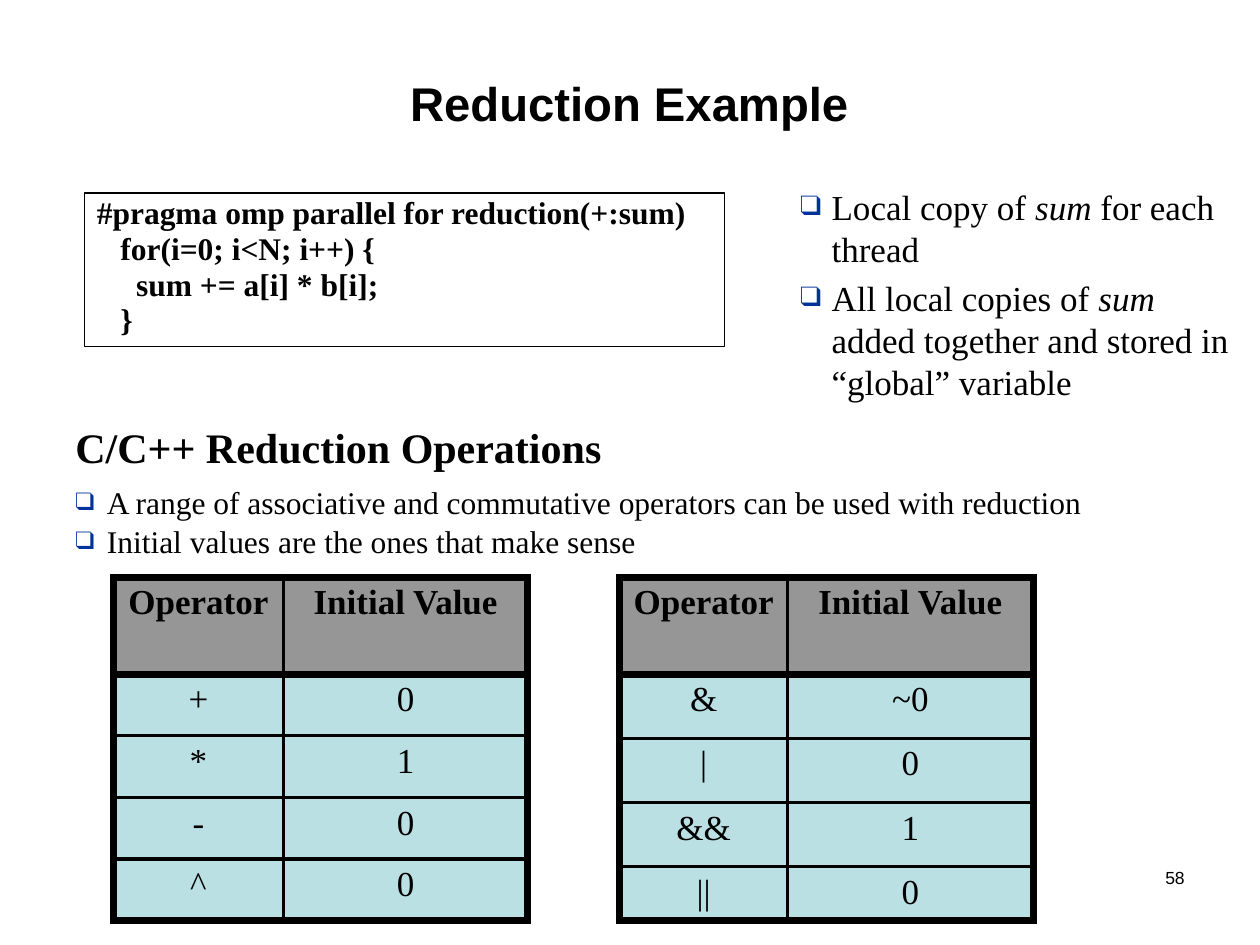
from lxml.etree import SubElement
from pptx import Presentation
from pptx.dml.color import RGBColor
from pptx.enum.shapes import MSO_SHAPE as Shape
from pptx.enum.text import MSO_ANCHOR as Anchor, MSO_AUTO_SIZE as AutoSize, PP_ALIGN as Align
from pptx.oxml.ns import qn
from pptx.util import Inches, Pt

WIDTH, HEIGHT = 10, 7.5
SANS, SERIF = "Arial", "Times New Roman"
COLORS = {"ink": "000000", "paper": "FFFFFF", "bullet": "003399",
          "header": "969696", "cell": "BBE0E3"}
THICK, THIN = 4.5, 2.25
TABLE_TOP = 4.58

CODE = ["#pragma omp parallel for reduction(+:sum)",
        "   for(i=0; i<N; i++) {",
        "     sum += a[i] * b[i];",
        "   }"]
# Every second span of a note is italic
NOTES = [["Local copy of ", "sum", " for each thread"],
         ["All local copies of ", "sum",
          " added together and stored in “global” variable"]]
RULES = [["A range of associative and commutative operators can be used with reduction"],
         ["Initial values are the ones that make sense"]]
HEADER = ("Operator", "Initial Value")
ARITHMETIC = [HEADER, ("+", "0"), ("*", "1"), ("-", "0"), ("^", "0")]
LOGICAL = [HEADER, ("&", "~0"), ("|", "0"), ("&&", "1"), ("||", "0")]


def rgb(name):
    return RGBColor.from_string(COLORS[name])


def place(shape, left, top, width, height):
    shape.left, shape.top = Inches(left), Inches(top)
    shape.width, shape.height = Inches(width), Inches(height)


def add_span(para, text, size, face=SERIF, bold=False, italic=False):
    span = para.add_run()
    span.text = text
    font = span.font
    font.name, font.size, font.bold, font.italic = face, Pt(size), bold, italic
    font.color.rgb = rgb("ink")


def add_bullet(para):
    props = para._p.get_or_add_pPr()
    props.set("marL", str(Inches(0.25)))
    props.set("indent", str(Inches(-0.25)))
    color = SubElement(props, qn("a:buClr"))
    SubElement(color, qn("a:srgbClr"), val=COLORS["bullet"])
    SubElement(props, qn("a:buSzPct"), val="80000")
    SubElement(props, qn("a:buFont"), typeface=SERIF)
    SubElement(props, qn("a:buChar"), char="❑")


def fill_lines(frame, lines, size, gap, spacing=1.0, bold=False, bullets=False):
    frame.word_wrap = True
    frame.auto_size = AutoSize.NONE
    for index, spans in enumerate(lines):
        para = frame.add_paragraph() if index else frame.paragraphs[0]
        if bullets:
            add_bullet(para)
        para.alignment = Align.LEFT
        para.line_spacing = spacing
        para.space_before = Pt(gap if index else 0)
        for number, text in enumerate(spans):
            add_span(para, text, size, bold=bold, italic=number % 2 == 1)


def add_text_box(page, area):
    box = page.shapes.add_textbox(0, 0, 0, 0)
    place(box, *area)
    return box.text_frame


def add_code_box(page, area):
    box = page.shapes.add_shape(Shape.RECTANGLE, 0, 0, 0, 0)
    place(box, *area)
    box.shadow.inherit = False
    box.fill.solid()
    box.fill.fore_color.rgb = rgb("paper")
    box.line.color.rgb = rgb("ink")
    box.line.width = Pt(1)
    box.text_frame.vertical_anchor = Anchor.TOP
    fill_lines(box.text_frame, [[line] for line in CODE], 18, 2, 0.85, bold=True)


def set_borders(cell, widths):
    props = cell._tc.get_or_add_tcPr()
    for side, width in widths.items():
        line = SubElement(props, qn(f"a:ln{side}"), w=str(Pt(width)))
        paint = SubElement(line, qn("a:solidFill"))
        SubElement(paint, qn("a:srgbClr"), val=COLORS["ink"])


def add_operator_table(page, left, rows, widths, heights):
    frame = page.shapes.add_table(len(rows), len(widths), Inches(left), Inches(TABLE_TOP),
                                  Inches(sum(widths)), Inches(sum(heights)))
    table = frame.table
    for column, width in zip(table.columns, widths):
        column.width = Inches(width)
    for row, height in zip(table.rows, heights):
        row.height = Inches(height)
    last_row, last_col = len(rows) - 1, len(widths) - 1
    for r, values in enumerate(rows):
        for c, value in enumerate(values):
            cell = table.cell(r, c)
            # Heavy lines run round the table and under its header
            set_borders(cell, {"L": THICK if c == 0 else THIN,
                               "R": THICK if c == last_col else THIN,
                               "T": THICK if r <= 1 else THIN,
                               "B": THICK if r in (0, last_row) else THIN})
            cell.fill.solid()
            cell.fill.fore_color.rgb = rgb("cell" if r else "header")
            para = cell.text_frame.paragraphs[0]
            para.alignment = Align.CENTER
            add_span(para, value, 20, bold=r == 0)


def main():
    deck = Presentation()
    deck.slide_width, deck.slide_height = Inches(WIDTH), Inches(HEIGHT)
    page = deck.slides.add_slide(deck.slide_layouts[1])

    # Title
    title = page.shapes.title
    place(title, 2.33, 0.55, 5.33, 0.53)
    title.text_frame.vertical_anchor = Anchor.MIDDLE
    title.text_frame.auto_size = AutoSize.NONE
    para = title.text_frame.paragraphs[0]
    para.alignment = Align.CENTER
    add_span(para, "Reduction Example", 27, SANS, bold=True)

    # Code and the notes beside it
    notes = page.placeholders[1]
    place(notes, 6.25, 1.42, 3.75, 1.75)
    fill_lines(notes.text_frame, NOTES, 20, 4, bullets=True)
    add_code_box(page, (0.67, 1.53, 5.08, 1.22))

    # Reduction operations
    fill_lines(add_text_box(page, (0.5, 3.3, 4.42, 0.53)),
               [["C/C++ Reduction Operations"]], 24, 0, bold=True)
    fill_lines(add_text_box(page, (0.5, 3.83, 9, 0.75)),
               RULES, 18, 4, 0.85, bullets=True)

    # Operator tables
    add_operator_table(page, 0.9, ARITHMETIC, (1.35, 1.94), [0.77] + [0.49] * 4)
    add_operator_table(page, 4.92, LOGICAL, (1.33, 1.95), [0.77] + [0.51] * 3 + [0.43])

    # Page number
    number = add_text_box(page, (7.42, 6.83, 2.08, 0.5))
    number.word_wrap = True
    number.paragraphs[0].alignment = Align.RIGHT
    add_span(number.paragraphs[0], "58", 10, SANS)

    deck.save("out.pptx")


if __name__ == "__main__":
    main()
